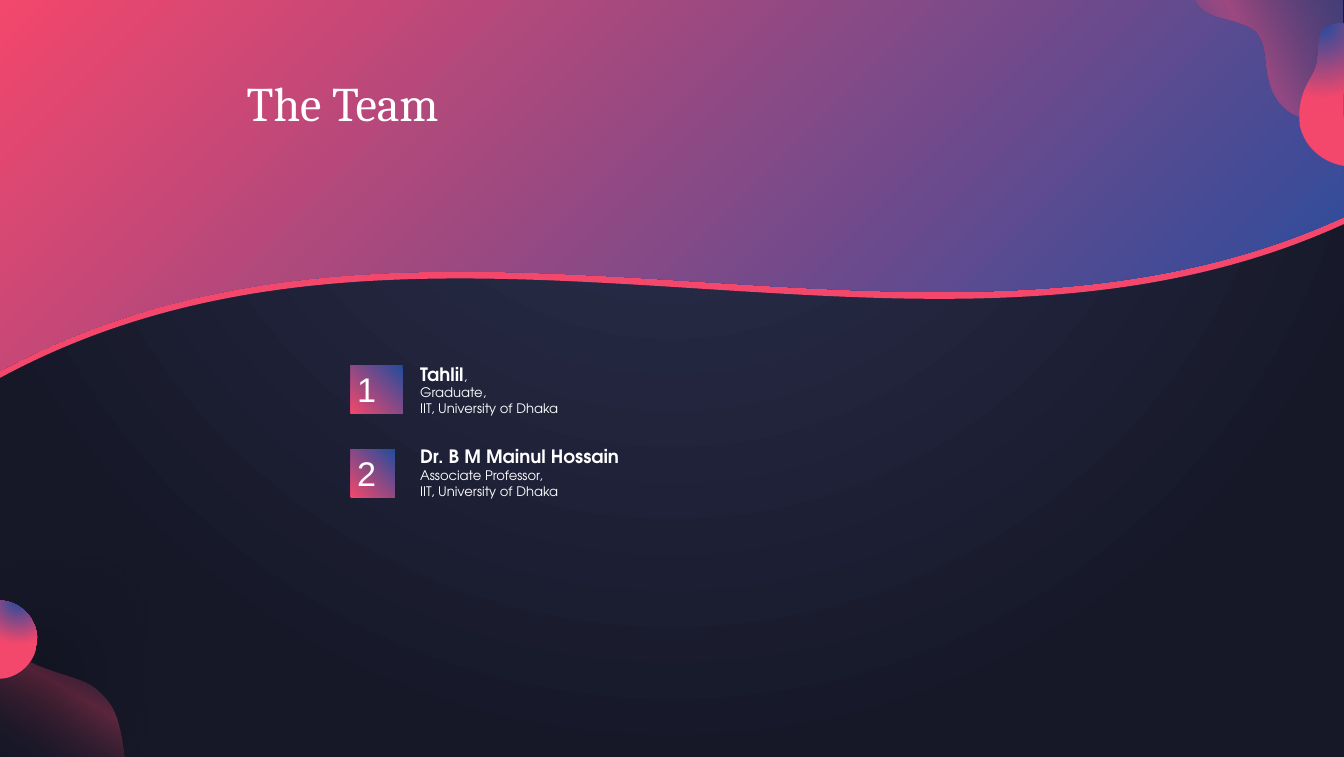
from lxml import etree
from pptx import Presentation
from pptx.dml.color import RGBColor
from pptx.enum.shapes import MSO_SHAPE
from pptx.enum.text import MSO_ANCHOR, MSO_AUTO_SIZE, PP_ALIGN
from pptx.oxml.ns import qn
from pptx.util import Inches, Pt

RECT = MSO_SHAPE.RECTANGLE
TOP, MIDDLE = MSO_ANCHOR.TOP, MSO_ANCHOR.MIDDLE
LEFT = PP_ALIGN.LEFT
NO_FIT = MSO_AUTO_SIZE.NONE

COLORS = {"navy": "2E3252", "night": "161828", "dusk": "181B2C", "blue": "274C9D",
          "pink": "F3476C", "white": "FFFFFF", "black": "000000"}
BLUE_PINK = [(2, "blue", 100), (100, "pink", 100)]
SKY = [(2, "navy", 100), (100, "night", 100)]
SLIDE_W, SLIDE_H = 21.3, 12


def add_color(parent, name, alpha):
    clr = etree.SubElement(parent, qn("a:srgbClr"), val=COLORS[name])
    if alpha < 100:
        etree.SubElement(clr, qn("a:alpha"), val=str(alpha * 1000))


def set_gradient(fill, element, stops, angle=None):
    """Linear gradient at an angle, or a circular one centred above the shape."""
    fill.solid()
    solid = element.find(".//" + qn("a:solidFill"))
    grad = etree.Element(qn("a:gradFill"), rotWithShape="1")
    gs_list = etree.SubElement(grad, qn("a:gsLst"))
    for pos, name, alpha in stops:
        add_color(etree.SubElement(gs_list, qn("a:gs"), pos=str(pos * 1000)), name, alpha)
    if angle is None:
        circle = etree.SubElement(grad, qn("a:path"), path="circle")
        etree.SubElement(circle, qn("a:fillToRect"), l="50000", t="-80000", r="50000", b="180000")
    else:
        etree.SubElement(grad, qn("a:lin"), ang=str(angle * 60000), scaled="0")
    solid.getparent().replace(solid, grad)


def add_outline(slide, left, top, start, segments):
    """Closed outline; a segment is a line end (x, y) or a cubic curve of six numbers."""
    def at(x, y):
        return Inches(left + x), Inches(top + y)

    builder = slide.shapes.build_freeform(*at(*start), scale=1.0)
    builder.add_line_segments([at(*seg[-2:]) for seg in segments], close=True)
    sp = builder.convert_to_shape()
    sp.shadow.inherit = False
    sp.line.fill.background()
    # Freeforms are built of straight lines, so bend those that are curves.
    for line, seg in zip(list(sp.element.iter(qn("a:lnTo"))), segments):
        if len(seg) == 6:
            curve = etree.Element(qn("a:cubicBezTo"))
            for i in (0, 2, 4):
                x, y = at(*seg[i:i + 2])
                etree.SubElement(curve, qn("a:pt"), x=str(x - sp.left), y=str(y - sp.top))
            line.getparent().replace(line, curve)
    return sp


def add_bottom_corner(slide, left, top):
    blob = add_outline(slide, left, top, (0, 0.57), [
        (0.36, 1.14, 1.23, 1.14, 1.52, 1.4), (1.82, 1.65, 1.89, 1.84, 1.98, 2.48), (0, 2.48)])
    set_gradient(blob.fill, blob.element,
                 [(0, "dusk", 3), (55, "pink", 33), (100, "blue", 4)], 300)
    ball = add_outline(slide, left, top, (0, 0), [
        (0.09, 0.01), (0.37, 0.06, 0.59, 0.32, 0.59, 0.62),
        (0.59, 0.92, 0.37, 1.17, 0.09, 1.23), (0, 1.24)])
    set_gradient(ball.fill, ball.element, BLUE_PINK)
    effects = ball.element.spPr.find(qn("a:effectLst"))
    shadow = etree.SubElement(effects, qn("a:outerShdw"), blurRad=str(Pt(100)),
                              dist=str(Pt(49)), dir=str(45 * 60000), rotWithShape="0")
    add_color(shadow, "black", 60)


def add_top_corner(slide, left, top):
    blob = add_outline(slide, left, top, (0, 0), [
        (0.03, 0.45, 0.78, 0.35, 0.99, 0.61), (1.19, 0.87, 1.07, 1.16, 1.24, 1.54),
        (1.41, 1.92, 1.83, 2.06, 2.36, 1.99), (2.37, 0)])
    set_gradient(blob.fill, blob.element,
                 [(0, "dusk", 25), (55, "pink", 44), (100, "blue", 40)], 150)
    drop = add_outline(slide, left, top, (2.36, 0.46), [
        (1.83, 0.42, 2.03, 0.9, 1.92, 1.17), (1.8, 1.44, 1.62, 1.6, 1.67, 2.07),
        (1.76, 2.47, 2.1, 2.67, 2.37, 2.71)])
    set_gradient(drop.fill, drop.element, BLUE_PINK)


def add_wave(slide, top):
    return add_outline(slide, 0, top, (SLIDE_W, 3.48), [
        (14.62, 6.54, 6.75, 2.27, 0, 5.92), (0, 0), (SLIDE_W - 0.02, 0),
        (SLIDE_W - 0.01, 1.16, SLIDE_W - 0.01, 2.32, SLIDE_W, 3.48)])


def add_header(slide, left, top):
    edge = add_wave(slide, top + 0.11)
    edge.fill.solid()
    edge.fill.fore_color.rgb = RGBColor.from_string(COLORS["pink"])
    band = add_wave(slide, top)
    set_gradient(band.fill, band.element, BLUE_PINK, 225)
    add_top_corner(slide, left + 18.93, top - 0.04)


def style(font, name, size, bold=False):
    font.name, font.size, font.bold = name, Pt(size), bold
    font.color.rgb = RGBColor.from_string(COLORS["white"])


def set_title(slide, text, left, top, width, height):
    title = slide.shapes.title
    title.left, title.top = Inches(left), Inches(top)
    title.width, title.height = Inches(width), Inches(height)
    tf = title.text_frame
    tf.text = text
    tf.word_wrap, tf.auto_size, tf.vertical_anchor = True, NO_FIT, TOP
    p = tf.paragraphs[0]
    p.alignment, p.line_spacing, p.space_before = LEFT, 0.9, Pt(16)
    style(p.font, "Cambria", 55)
    # Keep the title in front of the header band.
    slide.shapes.element.append(title.element)


def add_member(slide, left, top, number, badge_width, text_top, name, tail, details):
    """Numbered badge with the member's name and details beside it."""
    sp = slide.shapes.add_shape(RECT, Inches(left), Inches(top), Inches(badge_width), Inches(0.76))
    sp.shadow.inherit = False
    sp.line.fill.background()
    set_gradient(sp.fill, sp.element, BLUE_PINK, 135)
    tf = sp.text_frame
    tf.text, tf.vertical_anchor = str(number), MIDDLE
    tf.paragraphs[0].alignment = LEFT
    style(tf.paragraphs[0].font, "Arial", 39)

    box = slide.shapes.add_textbox(Inches(left + 1), Inches(text_top), Inches(8.38), Inches(1.26))
    tf = box.text_frame
    tf.word_wrap = True
    for text, size, bold in [(name, 21, True), (tail, 15, False)]:
        if text:
            r = tf.paragraphs[0].add_run()
            r.text = text
            style(r.font, "TeX Gyre Adventor", size, bold)
    for line in details:
        p = tf.add_paragraph()
        p.text = line
        style(p.font, "TeX Gyre Adventor", 15)


def main():
    prs = Presentation()
    prs.slide_width, prs.slide_height = Inches(SLIDE_W), Inches(SLIDE_H)
    slide = prs.slides.add_slide(prs.slide_layouts[5])
    set_gradient(slide.background.fill, slide.element, SKY)
    add_bottom_corner(slide, 0, 9.52)
    add_header(slide, 0, -0.04)
    set_title(slide, "The Team", 3.81, 1.21, 4.61, 2.5)
    school = "IIT, University of Dhaka"
    add_member(slide, 5.56, 5.79, 1, 0.82, 5.7, "Tahlil", ",", ["Graduate,", school])
    add_member(slide, 5.56, 7.12, 2, 0.7, 7.01, "Dr. B M Mainul Hossain", "",
               ["Associate Professor,", school])
    prs.save("out.pptx")


if __name__ == "__main__":
    main()
